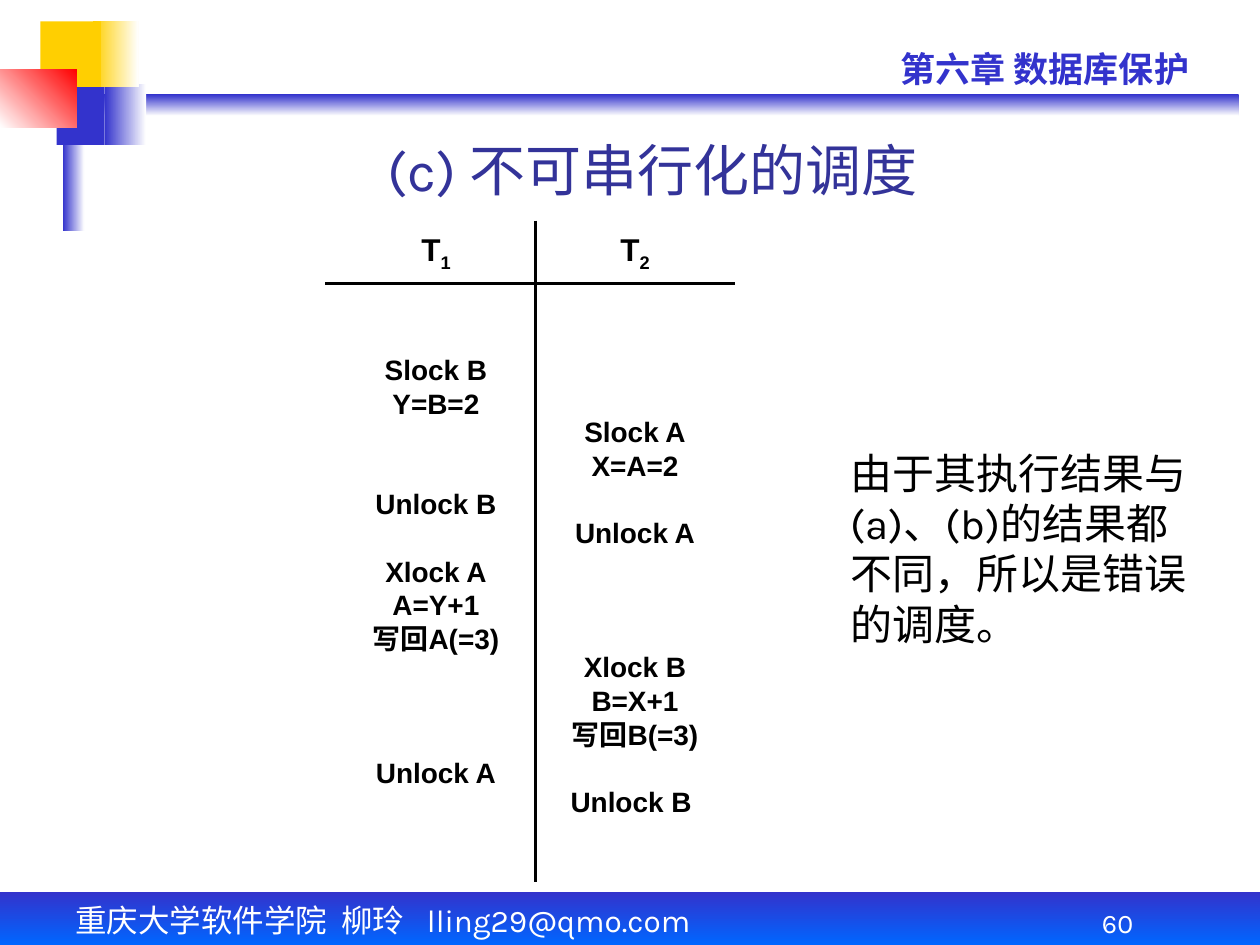
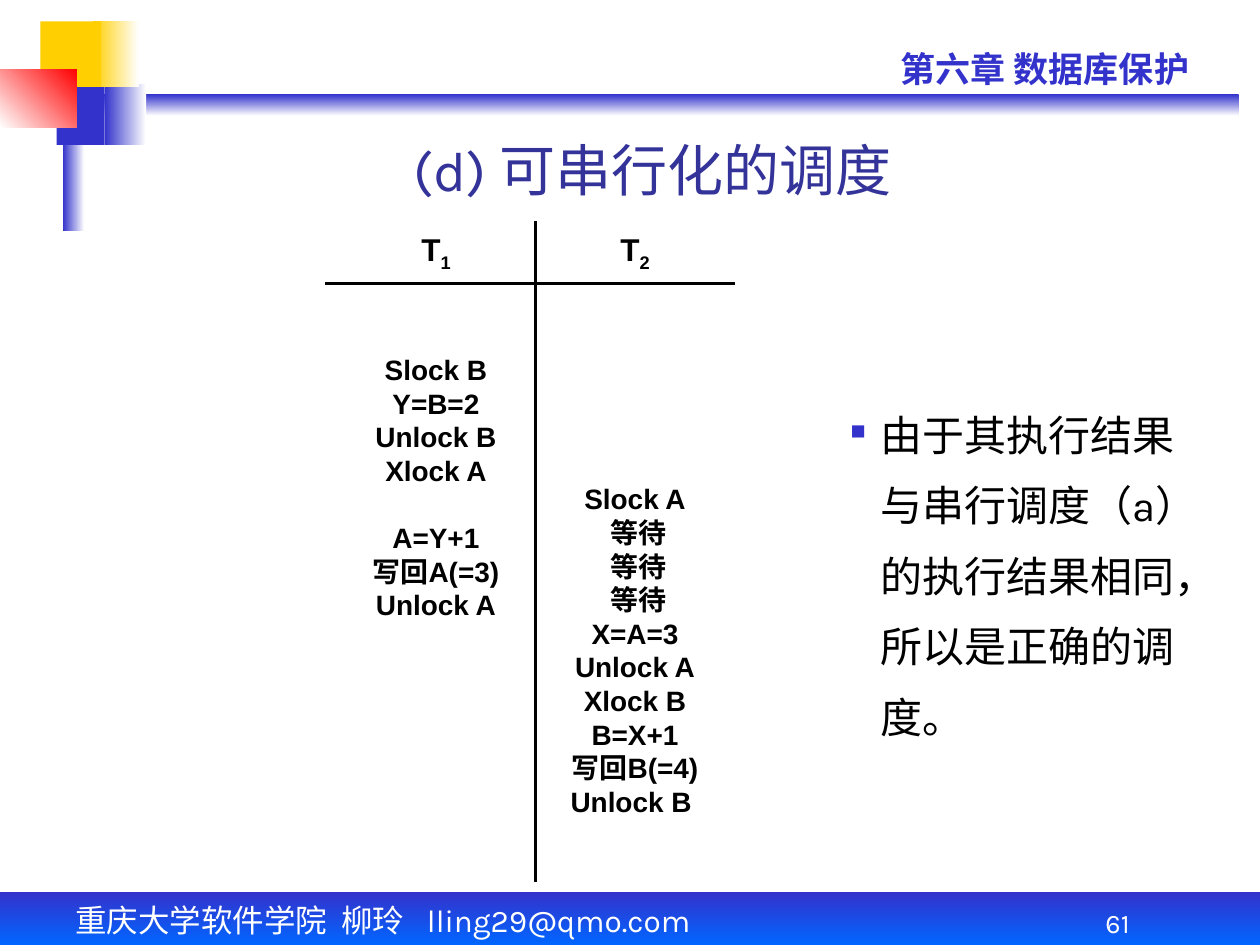
from lxml.etree import SubElement
from pptx import Presentation
from pptx.dml.color import RGBColor
from pptx.enum.shapes import MSO_CONNECTOR, MSO_SHAPE
from pptx.enum.text import MSO_ANCHOR, PP_ALIGN
from pptx.oxml.ns import qn
from pptx.util import Inches, Pt

BLUE, NAVY, GOLD = "3333CC", "333399", "FFCF01"
WHITE, BLACK, RED, SKY = "FFFFFF", "000000", "FF0000", "0066FF"
BODY_FONT, SCHEDULE_FONT = "Karla", "Arial"

CHAPTER = "第六章 数据库保护"
FOOTER = "重庆大学软件学院\t柳玲\tlling29@qmo.com"
FOOTER_TABS = (2.11, 2.79)

DECORATIONS = [
    ((0.58, 0.75, 9.25, 0.17), (BLUE, WHITE), 270),
    ((0.83, 0.67, 0.33, 0.48), (BLUE, WHITE), 0),
    ((0, 7.08, 10, 0.42), (BLUE, SKY), 270),
    ((0.5, 0.58, 0.17, 1.25), (BLUE, WHITE), 0),
    ((0.45, 0.67, 0.38, 0.48), (BLUE,), 0),
    ((0.74, 0.17, 0.36, 0.52), (GOLD, WHITE), 0),
    ((0.32, 0.17, 0.48, 0.52), (GOLD,), 0),
    ((0, 0.55, 0.61, 0.46), (WHITE, RED), 45),
]

SCHEDULES = [
    {
        "number": 60,
        "title": "(c) 不可串行化的调度",
        "steps": [
            [(0, "Slock B"), (1, "Y=B=2"), (4, "Unlock B"), (6, "Xlock A"),
             (7, "A=Y+1"), (8, "写回A(=3)"), (12, "Unlock A")],
            [(2, "Slock A"), (3, "X=A=2"), (5, "Unlock A"), (9, "Xlock B"),
             (10, "B=X+1"), (11, "写回B(=3)"), (13, "Unlock B ")],
        ],
        "remark": "由于其执行结果与(a)、(b)的结果都不同，所以是错误的调度。",
        "remark_box": (6.65, 3.5, 3.05, 1.7),
        "bulleted": False,
    },
    {
        "number": 61,
        "title": "(d) 可串行化的调度",
        "steps": [
            [(0, "Slock B"), (1, "Y=B=2"), (2, "Unlock B"), (3, "Xlock A"),
             (5, "A=Y+1"), (6, "写回A(=3)"), (7, "Unlock A")],
            [(4, "Slock A"), (5, " 等待"), (6, " 等待"), (7, " 等待"),
             (8, "X=A=3"), (9, "Unlock A"), (10, "Xlock B"), (11, "B=X+1"),
             (12, "写回B(=4)"), (13, "Unlock B ")],
        ],
        "remark": "由于其执行结果与串行调度（a）的执行结果相同，所以是正确的调度。",
        "remark_box": (6.65, 3.04, 3.06, 2.34),
        "bulleted": True,
    },
]

COLUMN_LEFTS, COLUMN_WIDTH = (2.67, 4.25), 1.58
COLUMN_TOPS, COLUMN_BOTTOM = (2.33, 2.25), 7
HEAD_TOP, HEAD_HEIGHT = 1.75, 0.5
ROW_COUNT, ROW_POINTS = 14, 19.2
RULES = [(2.58, 2.25, 5.83, 2.25), (4.25, 1.75, 4.25, 7)]


def rgb(color):
    return RGBColor.from_string(color)


def style_run(run, size, color, font, bold):
    run.font.size = Pt(size)
    run.font.name = font
    run.font.bold = bold
    run.font.color.rgb = rgb(color)


def add_text(slide, box, lines, size, color, font=BODY_FONT, bold=False,
             align=PP_ALIGN.LEFT, anchor=MSO_ANCHOR.TOP, wrap=True):
    shape = slide.shapes.add_textbox(*map(Inches, box))
    text_frame = shape.text_frame
    text_frame.word_wrap = wrap
    text_frame.vertical_anchor = anchor
    text_frame.text = "\n".join(lines)
    for paragraph in text_frame.paragraphs:
        paragraph.alignment = align
        for run in paragraph.runs:
            style_run(run, size, color, font, bold)
    return text_frame


def add_decoration(slide, box, colors, angle):
    shape = slide.shapes.add_shape(MSO_SHAPE.RECTANGLE, *map(Inches, box))
    shape.shadow.inherit = False
    shape.line.fill.background()
    if len(colors) == 1:
        shape.fill.solid()
        shape.fill.fore_color.rgb = rgb(colors[0])
        return
    shape.fill.gradient()
    shape.fill.gradient_angle = angle
    for stop, color in zip(shape.fill.gradient_stops, colors):
        stop.color.rgb = rgb(color)


def add_tabs(paragraph, positions):
    tab_list = SubElement(paragraph._p.get_or_add_pPr(), qn("a:tabLst"))
    for position in positions:
        SubElement(tab_list, qn("a:tab"), pos=str(Inches(position)), algn="l")


def add_bullet(paragraph):
    paragraph.line_spacing = 1.4
    properties = paragraph._p.get_or_add_pPr()
    properties.set("marL", str(Inches(0.24)))
    properties.set("indent", str(Inches(-0.24)))
    bullet_color = SubElement(properties, qn("a:buClr"))
    SubElement(bullet_color, qn("a:srgbClr"), val=BLUE)
    SubElement(properties, qn("a:buSzPct"), val="50000")
    SubElement(properties, qn("a:buChar"), char="■")


def add_rule(slide, ends):
    connector = slide.shapes.add_connector(MSO_CONNECTOR.STRAIGHT, *map(Inches, ends))
    connector.line.color.rgb = rgb(BLACK)
    connector.line.width = Pt(2.25)
    SubElement(connector._element.spPr, qn("a:effectLst"))


def add_frame(slide, number, title):
    for decoration in DECORATIONS:
        add_decoration(slide, *decoration)
    footer = add_text(slide, (0.5, 7.1, 5.58, 0.4), [FOOTER], 18, WHITE)
    add_tabs(footer.paragraphs[0], FOOTER_TABS)
    add_text(slide, (7.05, 0.33, 2.79, 0.44), [CHAPTER], 20, BLUE, bold=True)
    add_text(slide, (8.08, 7.08, 1.58, 0.42), [str(number)], 15.3, WHITE,
             align=PP_ALIGN.CENTER, anchor=MSO_ANCHOR.BOTTOM)
    add_text(slide, (1.22, 0.99, 7.92, 0.67), [title], 32, NAVY,
             align=PP_ALIGN.CENTER, anchor=MSO_ANCHOR.BOTTOM)


def add_steps(slide, left, top, steps):
    height = COLUMN_BOTTOM - top
    text_frame = add_text(slide, (left, top, COLUMN_WIDTH, height),
                          [text for _, text in steps], 16, BLACK, SCHEDULE_FONT,
                          True, PP_ALIGN.CENTER, wrap=False)
    rows = [row for row, _ in steps]
    unused_points = height * 72 - ROW_COUNT * ROW_POINTS
    text_frame.margin_top = Pt(unused_points / 2 + rows[0] * ROW_POINTS)
    previous_rows = [rows[0] - 1] + rows
    for paragraph, row, previous in zip(text_frame.paragraphs, rows, previous_rows):
        paragraph.line_spacing = Pt(ROW_POINTS)
        if row > previous + 1:
            paragraph.space_before = Pt((row - previous - 1) * ROW_POINTS)


def add_column_head(slide, left, index):
    text_frame = add_text(slide, (left, HEAD_TOP, COLUMN_WIDTH, HEAD_HEIGHT), ["T"],
                          18, BLACK, SCHEDULE_FONT, True, PP_ALIGN.CENTER,
                          MSO_ANCHOR.MIDDLE, wrap=False)
    subscript = text_frame.paragraphs[0].add_run()
    subscript.text = str(index)
    style_run(subscript, 18, BLACK, SCHEDULE_FONT, True)
    subscript._r.get_or_add_rPr().set("baseline", "-25000")


def add_schedule_slide(presentation, schedule):
    slide = presentation.slides.add_slide(presentation.slide_layouts[6])
    add_frame(slide, schedule["number"], schedule["title"])
    for ends in RULES:
        add_rule(slide, ends)
    columns = zip(COLUMN_LEFTS, COLUMN_TOPS, schedule["steps"])
    for index, (left, top, steps) in enumerate(columns, start=1):
        add_steps(slide, left, top, steps)
        add_column_head(slide, left, index)
    remark = add_text(slide, schedule["remark_box"], [schedule["remark"]], 24, BLACK)
    if schedule["bulleted"]:
        add_bullet(remark.paragraphs[0])


def main():
    presentation = Presentation()
    presentation.slide_width = Inches(10)
    presentation.slide_height = Inches(7.5)
    for schedule in SCHEDULES:
        add_schedule_slide(presentation, schedule)
    presentation.save("out.pptx")


if __name__ == "__main__":
    main()
